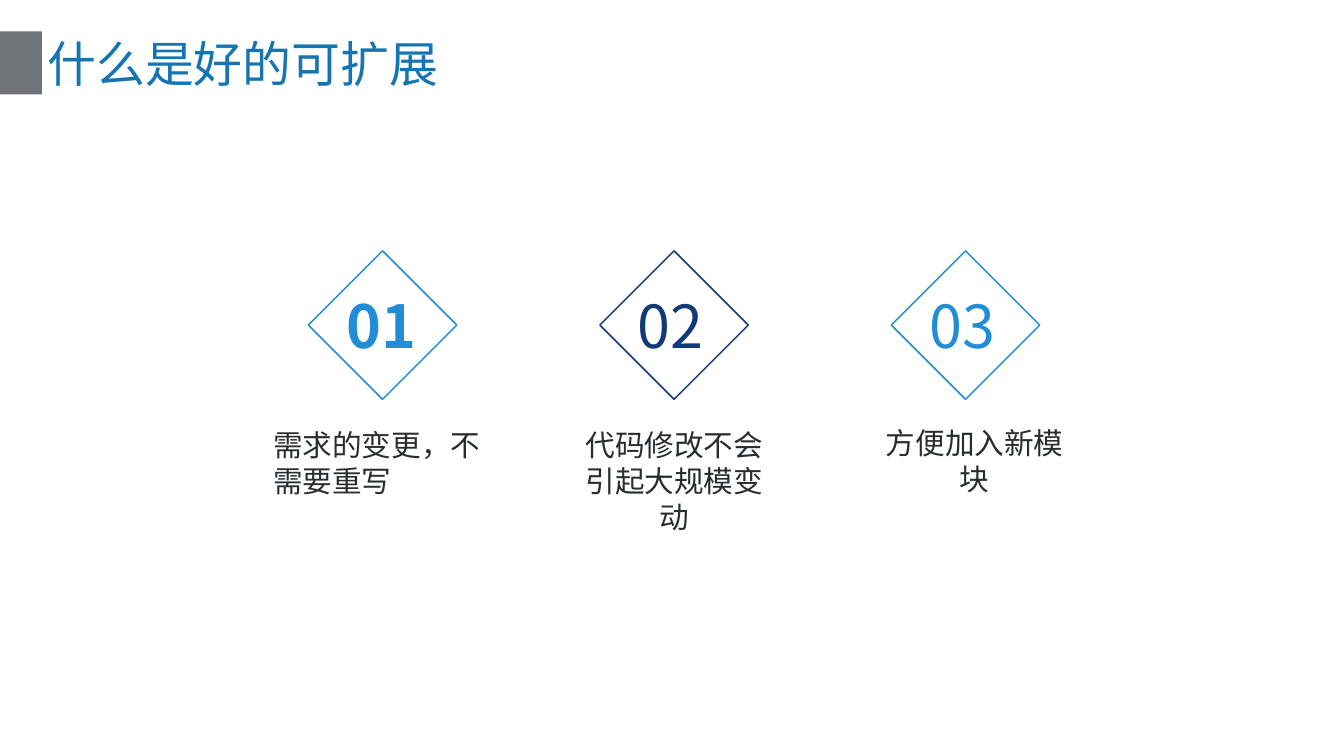
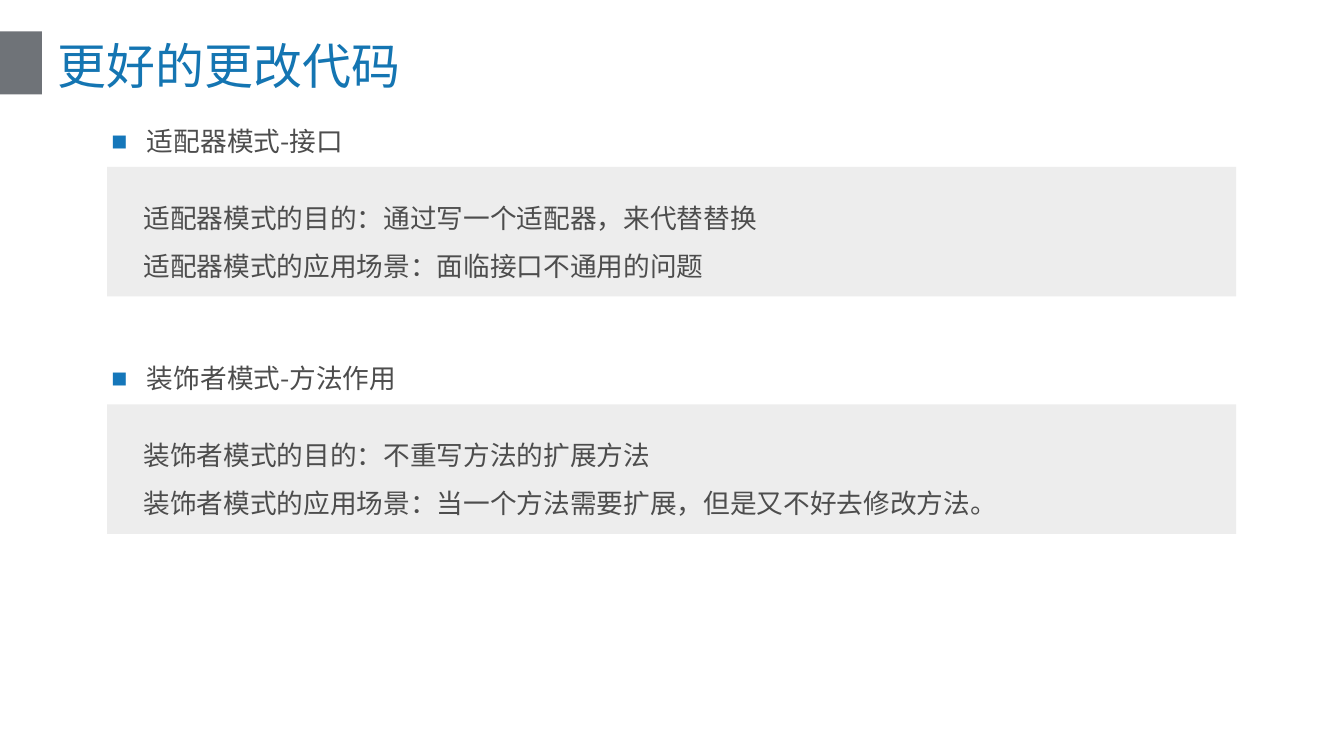
from dataclasses import dataclass

from lxml import etree
from pptx import Presentation
from pptx.dml.color import RGBColor
from pptx.enum.shapes import MSO_SHAPE
from pptx.enum.text import MSO_ANCHOR, MSO_AUTO_SIZE, PP_ALIGN
from pptx.oxml.ns import qn
from pptx.util import Cm, Pt

RECT = MSO_SHAPE.RECTANGLE
TOP, MIDDLE = MSO_ANCHOR.TOP, MSO_ANCHOR.MIDDLE
LEFT, CENTER = PP_ALIGN.LEFT, PP_ALIGN.CENTER
FIXED, GROW = MSO_AUTO_SIZE.NONE, MSO_AUTO_SIZE.SHAPE_TO_FIT_TEXT
TITLE_ONLY, COMPARISON = 5, 4


@dataclass(frozen=True)
class Theme:
    """Colours, font and type sizes of the deck."""
    font: str = "Noto Sans CJK SC"
    band: str = "6F7378"
    title: str = "1475B2"
    caption: str = "292C31"
    light: str = "218DD6"
    dark: str = "113A78"
    panel: str = "EDEDED"
    body: str = "4D4D4D"
    bullet: str = "1577BA"
    title_size: int = 66
    number_size: int = 80
    caption_size: int = 40
    body_size: int = 36


THEME = Theme()

CARDS = [
    dict(number="01", color=THEME.light, bold=True, text="需求的变更，不需要重写",
         align=LEFT, dx=-2.84, dy=7.24, width=10.67, height=3.68),
    dict(number="02", color=THEME.dark, bold=False, text="代码修改不会引起大规模变动",
         align=CENTER, dx=-2.2, dy=7.24, width=9.42, height=5.38),
    dict(number="03", color=THEME.light, bold=False, text="方便加入新模块",
         align=CENTER, dx=-2.1, dy=7.14, width=10.08, height=3.68),
]

PATTERNS = [
    ("适配器模式-接口",
     ["适配器模式的目的：通过写一个适配器，来代替替换",
      "适配器模式的应用场景：面临接口不通用的问题"]),
    ("装饰者模式-方法作用",
     ["装饰者模式的目的：不重写方法的扩展方法",
      "装饰者模式的应用场景：当一个方法需要扩展，但是又不好去修改方法。"]),
]


def apply(obj, **values):
    """Set each named attribute on an object."""
    for name, value in values.items():
        setattr(obj, name, value)


def place(sp, x, y, w, h):
    """Put a shape at a box given in centimetres."""
    apply(sp, left=Cm(x), top=Cm(y), width=Cm(w), height=Cm(h))


def write(sp, lines, size, color, bold=False, align=LEFT, spacing=1.0,
          insets=(0.25, 0.13, 0.25, 0.13), **frame):
    """Fill a shape with uniformly formatted paragraphs."""
    tf = sp.text_frame
    sides = ("margin_left", "margin_top", "margin_right", "margin_bottom")
    apply(tf, **{side: Cm(v) for side, v in zip(sides, insets)})
    apply(tf, **{"word_wrap": True, "auto_size": FIXED, **frame})
    for i, line in enumerate(lines):
        p = tf.add_paragraph() if i else tf.paragraphs[0]
        apply(p, alignment=align, line_spacing=spacing, space_before=Pt(0))
        r = p.add_run()
        r.text = line
        apply(r.font, name=THEME.font, size=Pt(size), bold=bold)
        r.font.color.rgb = RGBColor.from_string(color)
        etree.SubElement(r.font._element, qn("a:ea"), typeface=THEME.font)


def set_bullet(p, indent=0.0, char=None):
    """Give a paragraph a hanging square bullet, or none."""
    pPr = p._p.get_or_add_pPr()
    pPr.set("marL", str(Cm(indent)))
    pPr.set("indent", str(-Cm(indent)))
    if char is None:
        etree.SubElement(pPr, qn("a:buNone"))
        return
    color = etree.SubElement(pPr, qn("a:buClr"))
    etree.SubElement(color, qn("a:srgbClr"), val=THEME.bullet)
    etree.SubElement(pPr, qn("a:buFont"), typeface="Arial")
    etree.SubElement(pPr, qn("a:buChar"), char=char)


def add_rect(shapes, x, y, w, h, fill=None, line=None):
    """Add a flat rectangle with an optional fill and outline."""
    sp = shapes.add_shape(RECT, Cm(x), Cm(y), Cm(w), Cm(h))
    sp.shadow.inherit = False
    if fill:
        sp.fill.solid()
        sp.fill.fore_color.rgb = RGBColor.from_string(fill)
    else:
        sp.fill.background()
    if line:
        sp.line.color.rgb = RGBColor.from_string(line)
        sp.line.width = Pt(2)
    else:
        sp.line.fill.background()
    return sp


def add_text(shapes, x, y, w, h, *args, **kwargs):
    """Add a text box that grows with its text."""
    sp = shapes.add_textbox(Cm(x), Cm(y), Cm(w), Cm(h))
    write(sp, *args, auto_size=GROW, **kwargs)


def add_master_band(prs, slide):
    """Move a title band drawn on a slide to the master."""
    band = add_rect(slide.shapes, 0, 1.5, 2, 3, fill=THEME.band)
    prs.slide_master.shapes.element.insert(2, band.element)


def add_slide(prs, layout, title, x, y):
    """Add a slide with its title placed at x, y."""
    slide = prs.slides.add_slide(prs.slide_layouts[layout])
    place(slide.shapes.title, x, y, 60, 3.05)
    write(slide.shapes.title, [title], THEME.title_size, THEME.title,
          vertical_anchor=MIDDLE)
    return slide


def add_card(slide, x, y, card, side=5):
    """Draw a numbered diamond at x, y with its caption below."""
    add_text(slide.shapes, x + card["dx"], y + card["dy"], card["width"],
             card["height"], [card["text"]], THEME.caption_size, THEME.caption,
             align=card["align"], insets=[0.13] * 4)
    group = slide.shapes.add_group_shape()
    add_text(group.shapes, x + 0.6, y + 0.6, 3.8, 3.8, [card["number"]],
             THEME.number_size, card["color"], bold=card["bold"],
             insets=[0.18] * 4, vertical_anchor=MIDDLE, word_wrap=False)
    diamond = add_rect(group.shapes, x, y, side, side, line=card["color"])
    diamond.rotation = 315


def fill_pattern(heading, panel, x, y, title, lines):
    """Set a bulleted heading at x, y and a grey text panel below."""
    style = dict(size=THEME.body_size, color=THEME.body, spacing=1.5,
                 vertical_anchor=TOP)
    place(heading, x, y, 51.13, 2.57)
    write(heading, [title], **style)
    set_bullet(heading.text_frame.paragraphs[0], 1.7, "■")
    place(panel, x + 0.05, y + 2.9, 53.77, 6.17)
    panel.fill.solid()
    panel.fill.fore_color.rgb = RGBColor.from_string(THEME.panel)
    write(panel, lines, insets=(1.73, 0.89, 0.25, 0.13), **style)
    for p in panel.text_frame.paragraphs:
        set_bullet(p)


def build_cards_slide(prs):
    """Build the slide of three evenly spaced cards."""
    slide = add_slide(prs, TITLE_ONLY, "什么是好的可扩展", 2, 1.45)
    for i, card in enumerate(CARDS):
        add_card(slide, 15.72 + 13.88 * i, 12.98, card)
    return slide


def build_patterns_slide(prs):
    """Build the slide of stacked pattern descriptions."""
    slide = add_slide(prs, COMPARISON, "更好的更改代码", 2.5, 1.57)
    for i, (title, lines) in enumerate(PATTERNS):
        heading, panel = (slide.placeholders[2 * i + k] for k in (1, 2))
        fill_pattern(heading, panel, 5.05, 5.05 + 11.3 * i, title, lines)


def main():
    """Build and save the deck."""
    prs = Presentation()
    apply(prs, slide_width=Cm(64), slide_height=Cm(36))
    add_master_band(prs, build_cards_slide(prs))
    build_patterns_slide(prs)
    prs.save("out.pptx")


if __name__ == "__main__":
    main()
